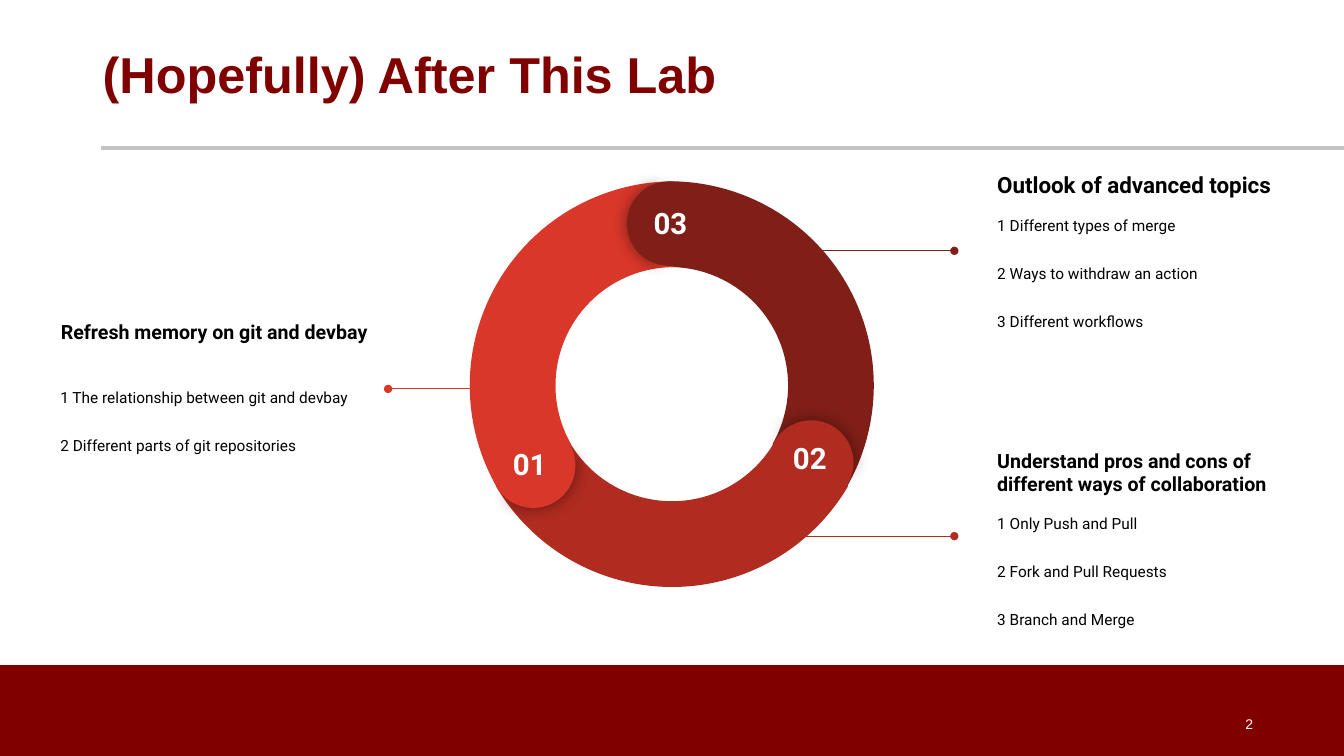
"""Build the lab goals slide: a three-part ring with a text block for each part."""
from dataclasses import dataclass

from lxml.etree import SubElement
from pptx import Presentation
from pptx.dml.color import RGBColor
from pptx.enum.shapes import MSO_CONNECTOR as Connector, MSO_SHAPE as Preset
from pptx.enum.text import MSO_ANCHOR as Anchor, PP_ALIGN as Align
from pptx.oxml.ns import qn
from pptx.shapes.autoshape import Shape
from pptx.shapes.connector import Connector as Line
from pptx.slide import Slide
from pptx.text.text import TextFrame
from pptx.util import Cm, Pt

SLIDE_WIDTH, SLIDE_HEIGHT = 33.87, 19.05
FOOTER_TOP = 16.76
MAROON, GREY, WHITE, BLACK = "800000", "C2C3C2", "FFFFFF", "000000"
RING_SIZE, CAP_SIZE = 10.29, 2.13
ARC_ADJUSTMENTS = (126.23, 197.8, 0.21)
SHADED_HALF, PLAIN_HALF = (61.9, 149.96), (40.28, 171.84)
TOPIC_HEIGHT, TOPIC_INSET = 4.78, 0.33
ITEM_GAP = 21


@dataclass(frozen=True)
class Segment:
    """A ring part with its rounded cap and number."""
    label: str
    color: str
    rotation: float
    arc: tuple[float, float]
    cap: tuple[float, float]
    number: tuple[float, float]


@dataclass(frozen=True)
class Topic:
    """A heading with its items and the leader line to the ring."""
    heading: str
    items: tuple[str, ...]
    left: float
    top: float
    width: float
    heading_size: int
    heading_gap: int
    align: Align
    color: str
    leader_start: float
    leader_end: float
    leader_y: float


SEGMENTS = (
    Segment("03 ", "801F17", 60, (11.73, 4.57), (15.8, 4.57), (16.05, 4.85)),
    Segment("02 ", "B02B20", 180, (11.79, 4.5), (19.38, 10.59), (19.56, 10.77)),
    Segment("01 ", "D83729", 300, (11.84, 4.57), (12.37, 10.67), (12.5, 10.9)),
)

TOPICS = (
    Topic("Refresh memory on git and devbay",
          ("1 The relationship between git and devbay", "2 Different parts of git repositories"),
          1.19, 7.37, 8.41, 14, 32, Align.RIGHT, "D83729", 12.14, 9.78, 9.8),
    Topic("Outlook of advanced topics",
          ("1 Different types of merge", "2 Ways to withdraw an action", "3 Different workflows"),
          24.8, 3.94, 7.87, 16, 13, Align.LEFT, "801F17", 19.3, 24.05, 6.32),
    Topic("Understand pros and cons of different ways of collaboration",
          ("1 Only Push and Pull", "2 Fork and Pull Requests", "3 Branch and Merge"),
          24.8, 11.18, 7.87, 14, 13, Align.LEFT, "B02B20", 19.3, 24.05, 13.51),
)


def rgb(color: str) -> RGBColor:
    """Turn a hex string into a colour."""
    return RGBColor.from_string(color)


def add_filled(slide: Slide, preset: Preset, left: float, top: float, width: float, height: float,
               color: str, rotation: float = 0, adjustments: tuple[float, ...] = ()) -> Shape:
    """Add a plain preset shape without outline."""
    shape = slide.shapes.add_shape(preset, Cm(left), Cm(top), Cm(width), Cm(height))
    shape.shadow.inherit = False
    shape.fill.solid()
    shape.fill.fore_color.rgb = rgb(color)
    shape.line.fill.background()
    shape.rotation = rotation
    for index, value in enumerate(adjustments):
        shape.adjustments[index] = value
    return shape


def add_glow_shadow(shape: Shape) -> None:
    """Give a shape a soft black shadow without offset."""
    effects = shape._element.spPr.find(qn("a:effectLst"))
    shadow = SubElement(effects, qn("a:outerShdw"), blurRad=str(Pt(11.2)), dist="0", dir="0",
                        algn="ctr", rotWithShape="0")
    black = SubElement(shadow, qn("a:srgbClr"), val=BLACK)
    SubElement(black, qn("a:alpha"), val="43000")


def add_line(slide: Slide, start: float, end: float, y: float, color: str, width: float) -> Line:
    """Add a horizontal line."""
    line = slide.shapes.add_connector(Connector.STRAIGHT, Cm(start), Cm(y), Cm(end), Cm(y))
    line.line.color.rgb = rgb(color)
    line.line.width = Pt(width)
    SubElement(line._element.spPr, qn("a:effectLst"))
    return line


def add_box(slide: Slide, left: float, top: float, width: float, height: float,
            inset_x: float, inset_y: float, anchor: Anchor) -> TextFrame:
    """Add a wrapping text box and return its frame."""
    frame = slide.shapes.add_textbox(Cm(left), Cm(top), Cm(width), Cm(height)).text_frame
    frame.word_wrap = True
    frame.vertical_anchor = anchor
    frame.margin_left = frame.margin_right = Cm(inset_x)
    frame.margin_top = frame.margin_bottom = Cm(inset_y)
    return frame


def write(frame: TextFrame, text: str, size: float, font: str, color: str, bold: bool = False,
          align: Align = Align.LEFT, before: float = 0, after: float = 0) -> None:
    """Write one paragraph, using the first one while it is empty."""
    first = frame.paragraphs[0]
    paragraph = frame.add_paragraph() if first.runs else first
    paragraph.alignment = align
    paragraph.space_before, paragraph.space_after = Pt(before), Pt(after)
    run = paragraph.add_run()
    run.text = text
    run.font.name, run.font.size, run.font.bold = font, Pt(size), bold
    run.font.color.rgb = rgb(color)


def add_topic(slide: Slide, topic: Topic) -> None:
    """Add a text block and its leader line."""
    frame = add_box(slide, topic.left, topic.top, topic.width, TOPIC_HEIGHT,
                    TOPIC_INSET, TOPIC_INSET, Anchor.MIDDLE)
    write(frame, topic.heading, topic.heading_size, "Roboto", BLACK, True, topic.align)
    for index, item in enumerate(topic.items):
        before = ITEM_GAP if index else topic.heading_gap
        after = ITEM_GAP if item == topic.items[-1] else 0
        write(frame, item, 11, "Roboto", BLACK, before=before, after=after)
    leader = add_line(slide, topic.leader_start, topic.leader_end, topic.leader_y, topic.color, 0.75)
    SubElement(leader.line._get_or_add_ln(), qn("a:tailEnd"), type="oval")


def add_ring(slide: Slide) -> None:
    """Add the arcs, then their caps and numbers."""
    for segment in SEGMENTS:
        add_filled(slide, Preset.BLOCK_ARC, *segment.arc, RING_SIZE, RING_SIZE,
                   segment.color, segment.rotation, ARC_ADJUSTMENTS)
    for segment in SEGMENTS:
        plain_rotation = (segment.rotation + 120) % 360
        shaded_rotation = (segment.rotation + 300) % 360 + 0.65
        shaded = add_filled(slide, Preset.PIE, *segment.cap, CAP_SIZE, CAP_SIZE,
                            segment.color, shaded_rotation, SHADED_HALF)
        add_glow_shadow(shaded)
        add_filled(slide, Preset.PIE, *segment.cap, CAP_SIZE, CAP_SIZE,
                   segment.color, plain_rotation, PLAIN_HALF)
        number = add_box(slide, *segment.number, 1.88, 0.99, TOPIC_INSET, TOPIC_INSET, Anchor.TOP)
        write(number, segment.label, 21, "Roboto", WHITE, True, Align.CENTER)


def main() -> None:
    """Build and save the slide."""
    presentation = Presentation()
    presentation.slide_width, presentation.slide_height = Cm(SLIDE_WIDTH), Cm(SLIDE_HEIGHT)
    slide = presentation.slides.add_slide(presentation.slide_layouts[6])
    add_filled(slide, Preset.RECTANGLE, 0, FOOTER_TOP, SLIDE_WIDTH, SLIDE_HEIGHT - FOOTER_TOP, MAROON)
    add_line(slide, 2.54, SLIDE_WIDTH, 3.73, GREY, 3)
    title = add_box(slide, 2.34, 0, 29.21, 3.68, 0.25, 0.13, Anchor.MIDDLE)
    write(title, "(Hopefully) After This Lab", 36, "Arial", MAROON, True)
    page_number = add_box(slide, 23.93, 17.73, 7.9, 1.02, 0.25, 0.13, Anchor.MIDDLE)
    write(page_number, "2", 10, "Arial", WHITE, align=Align.RIGHT)
    for topic in TOPICS:
        add_topic(slide, topic)
    add_ring(slide)
    presentation.save("out.pptx")


if __name__ == "__main__":
    main()
